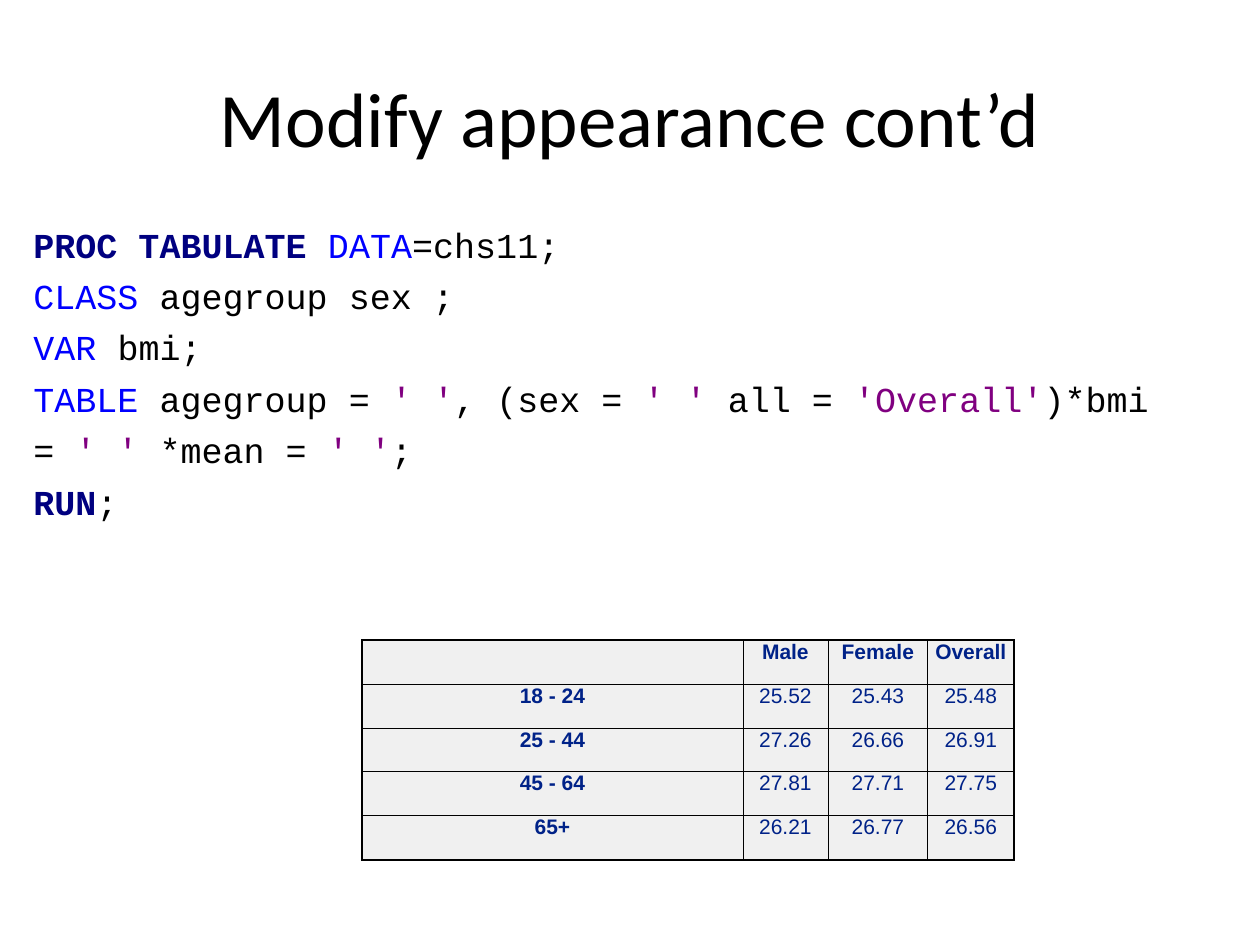
from lxml import etree
from pptx import Presentation
from pptx.dml.color import RGBColor
from pptx.enum.text import MSO_ANCHOR, PP_ALIGN
from pptx.oxml.ns import qn
from pptx.util import Emu, Pt

CENTER, MIDDLE, TOP = PP_ALIGN.CENTER, MSO_ANCHOR.MIDDLE, MSO_ANCHOR.TOP

# Content
TITLE = "Modify appearance cont’d"
CODE = [  # each line is a list of (text, syntax role)
    [("PROC TABULATE ", "step"), ("DATA", "keyword"), ("=chs11;", "plain")],
    [("CLASS", "keyword"), (" agegroup sex ;", "plain")],
    [("VAR", "keyword"), (" bmi;", "plain")],
    [("TABLE", "keyword"), (" agegroup = ", "plain"), ("' '", "string"),
     (", (sex = ", "plain"), ("' '", "string"), (" all = ", "plain"),
     ("'Overall'", "string"), (")*bmi", "plain")],
    [("= ", "plain"), ("' '", "string"), (" *mean = ", "plain"),
     ("' '", "string"), (";", "plain")],
    [("RUN", "step"), (";", "plain")],
]
BMI = [
    ["", "Male", "Female", "Overall"],
    ["18 - 24", "25.52", "25.43", "25.48"],
    ["25 - 44", "27.26", "26.66", "26.91"],
    ["45 - 64", "27.81", "27.71", "27.75"],
    ["65+", "26.21", "26.77", "26.56"],
]

# Theme and layout (px, 126 to the inch)
THEME = {
    "title": ("Calibri", 44, "000000"),
    "code": ("Courier New", 20),
    "table": ("Arial", 12, "002288"),
    "cell": "F0F0F0",
    "border": "000000",
    "inner": 0.5,
    "outer": 1,
    "step": "000080",
    "keyword": "0000FF",
    "string": "800080",
    "plain": "000000",
}
TITLE_BOX = (63, 38, 1134, 158)
CODE_BOX = (21, 210, 1176, 624)
CODE_INSET = 13
CODE_GAP = 5.4
TABLE_AT = (362, 640)
COLS = [381, 85, 100, 86]
ROW = 44


def px(n):
    return Emu(n * 914400 // 126)


def place(sp, box):
    sp.left, sp.top, sp.width, sp.height = map(px, box)


def add_run(p, text, font, size, color, bold=False):
    r = p.add_run()
    r.text = text
    r.font.name, r.font.size, r.font.bold = font, Pt(size), bold
    r.font.color.rgb = RGBColor.from_string(color)


def set_borders(cell, widths):
    tcPr = cell._tc.get_or_add_tcPr()
    for i, (side, width) in enumerate(widths.items()):
        ln = etree.Element(qn("a:ln" + side), w=str(Pt(width)))
        fill = etree.SubElement(ln, qn("a:solidFill"))
        etree.SubElement(fill, qn("a:srgbClr"), val=THEME["border"])
        tcPr.insert(i, ln)  # borders come before the fill


prs = Presentation()
prs.slide_width, prs.slide_height = px(1260), px(945)
s = prs.slides.add_slide(prs.slide_layouts[5])

# Title
title = s.shapes.title
place(title, TITLE_BOX)
tf = title.text_frame
tf.vertical_anchor = MIDDLE
p = tf.paragraphs[0]
p.alignment = CENTER
add_run(p, TITLE, *THEME["title"])

# Code
tf = s.shapes.add_textbox(*map(px, CODE_BOX)).text_frame
tf.word_wrap = True
tf.margin_top = px(CODE_INSET)
for i, line in enumerate(CODE):
    p = tf.add_paragraph() if i else tf.paragraphs[0]
    if i:
        p.space_before = Pt(CODE_GAP)
    for text, role in line:
        add_run(p, text, *THEME["code"], THEME[role], role == "step")

# Table of mean BMI
rows, cols = len(BMI), len(COLS)
table = s.shapes.add_table(rows, cols, *map(px, TABLE_AT),
                           px(sum(COLS)), px(ROW * rows)).table
for col, width in zip(table.columns, COLS):
    col.width = px(width)
for i, values in enumerate(BMI):
    table.rows[i].height = px(ROW)
    for j, value in enumerate(values):
        cell = table.cell(i, j)
        cell.margin_left = cell.margin_right = 0
        cell.margin_top = cell.margin_bottom = 0
        cell.vertical_anchor = TOP
        cell.fill.solid()
        cell.fill.fore_color.rgb = RGBColor.from_string(THEME["cell"])
        edges = {"L": j == 0, "R": j == cols - 1,
                 "T": i == 0, "B": i == rows - 1}
        set_borders(cell, {side: THEME["outer" if edge else "inner"]
                           for side, edge in edges.items()})
        p = cell.text_frame.paragraphs[0]
        p.alignment = CENTER
        if value:
            add_run(p, value, *THEME["table"], i == 0 or j == 0)

prs.save("out.pptx")
